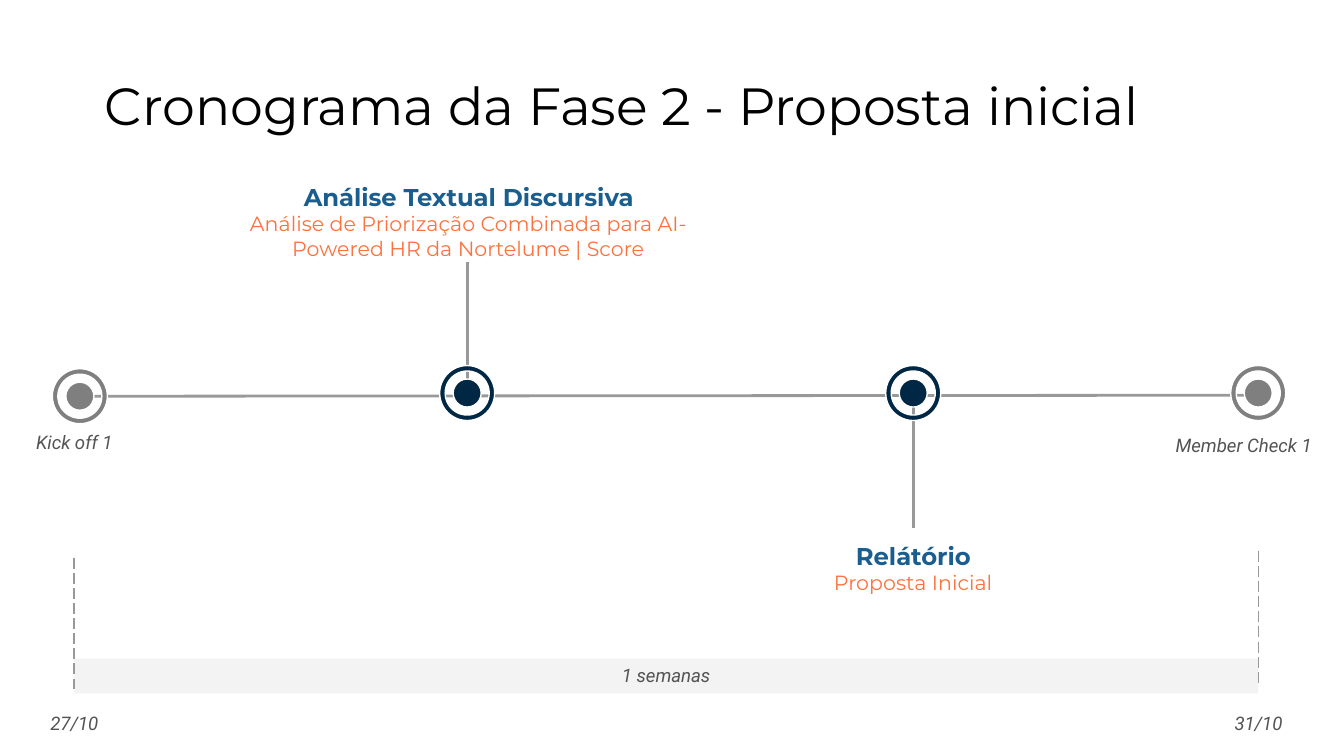
"""Build the phase 2 timeline slide."""
from dataclasses import dataclass
from typing import Optional

from lxml.etree import SubElement
from pptx import Presentation
from pptx.dml.color import RGBColor
from pptx.enum.dml import MSO_LINE
from pptx.enum.shapes import MSO_CONNECTOR, MSO_SHAPE
from pptx.enum.text import MSO_ANCHOR, MSO_AUTO_SIZE, PP_ALIGN
from pptx.oxml.ns import qn
from pptx.util import Cm, Pt


@dataclass(frozen=True)
class Style:
    font: str
    size: float
    color: str
    bold: bool = False
    italic: bool = False


@dataclass(frozen=True)
class Theme:
    title: Style = Style("Montserrat", 28, "000000")
    heading: Style = Style("Montserrat", 13, "1A5E8F", bold=True)
    detail: Style = Style("Montserrat", 11, "FC723F")
    note: Style = Style("Roboto", 10, "545454", italic=True)
    line: str = "999999"
    band: str = "F3F3F3"
    white: str = "FFFFFF"
    step: str = "002845"
    limit: str = "7F7F7F"


@dataclass(frozen=True)
class Box:
    x: float
    y: float
    w: float
    h: float

    def emu(self) -> tuple:
        return Cm(self.x), Cm(self.y), Cm(self.w), Cm(self.h)


@dataclass(frozen=True)
class Label:
    box: Box
    lines: tuple


@dataclass(frozen=True)
class Marker:
    x: float
    y: float
    color: str


@dataclass(frozen=True)
class Rule:
    x1: float
    y1: float
    x2: float
    y2: float
    width: float = 1.5
    dashed: bool = False


T = Theme()
OUTER, INNER = 1.04, 0.53
START, END = 1.4, 23.78
STEP_1, STEP_2 = 8.83, 17.26
AXIS = 7.47

RULES = (
    Rule(1.3, 7.49, 24, AXIS),
    Rule(STEP_1, 4.95, STEP_1, AXIS),
    Rule(STEP_2, AXIS, STEP_2, 9.98),
    Rule(START, 10.54, START, 13.03, 0.75, True),
    Rule(END, 10.41, END, 12.93, 0.75, True),
)
MARKERS = (
    Marker(1.51, 7.49, T.limit),
    Marker(STEP_1, 7.43, T.step),
    Marker(STEP_2, 7.43, T.step),
    Marker(END, 7.43, T.limit),
)
LABELS = (
    Label(Box(3.84, 3.38, 10.03, 1.6), (
        ("Análise Textual Discursiva", T.heading),
        ("Análise de Priorização Combinada para AI-Powered HR da Nortelume | Score", T.detail))),
    Label(Box(14.43, 9.86, 5.66, 1.75), (
        ("Relátório", T.heading), ("Proposta Inicial", T.detail))),
    Label(Box(0.15, 7.72, 2.51, 1.27), (("Kick off 1", T.note),)),
    Label(Box(21.84, 7.77, 3.33, 1.27), (("Member Check 1", T.note),)),
    Label(Box(START, 12.12, END - START, 1.27), (("1 semanas", T.note),)),
    Label(Box(0.15, 13.03, 2.51, 1.27), (("27/10", T.note),)),
    Label(Box(22.53, 13.03, 2.51, 1.27), (("31/10", T.note),)),
)


def rgb(color: str) -> RGBColor:
    return RGBColor.from_string(color)


def write(sp, lines: tuple, align: PP_ALIGN, anchor: MSO_ANCHOR) -> None:
    tf = sp.text_frame
    tf.word_wrap = True
    tf.auto_size = MSO_AUTO_SIZE.NONE
    tf.vertical_anchor = anchor
    tf.margin_left = tf.margin_right = tf.margin_top = tf.margin_bottom = Cm(0.25)
    for i, (text, style) in enumerate(lines):
        p = tf.add_paragraph() if i else tf.paragraphs[0]
        p.alignment = align
        p.space_before = Pt(0)
        r = p.add_run()
        r.text = text
        r.font.name = style.font
        r.font.size = Pt(style.size)
        r.font.bold = style.bold
        r.font.italic = style.italic
        r.font.color.rgb = rgb(style.color)


def add_shape(shapes, kind: MSO_SHAPE, box: Box, fill: str, line: Optional[str] = None):
    sp = shapes.add_shape(kind, *box.emu())
    sp.shadow.inherit = False
    sp.fill.solid()
    sp.fill.fore_color.rgb = rgb(fill)
    if line:
        sp.line.color.rgb = rgb(line)
        sp.line.width = Pt(0.75)
    else:
        sp.line.fill.background()
    return sp


def add_rule(s, rule: Rule) -> None:
    cn = s.shapes.add_connector(
        MSO_CONNECTOR.STRAIGHT, Cm(rule.x1), Cm(rule.y1), Cm(rule.x2), Cm(rule.y2))
    cn.line.color.rgb = rgb(T.line)
    cn.line.width = Pt(rule.width)
    if rule.dashed:
        cn.line.dash_style = MSO_LINE.LONG_DASH
    SubElement(cn._element.spPr, qn("a:effectLst"))


def add_marker(s, m: Marker) -> None:
    shapes = s.shapes.add_group_shape().shapes
    for kind, d in ((MSO_SHAPE.OVAL, INNER), (MSO_SHAPE.DONUT, OUTER)):
        sp = add_shape(shapes, kind, Box(m.x - d / 2, m.y - d / 2, d, d), m.color, T.white)
    sp.adjustments[0] = 0.1


def add_label(s, label: Label) -> None:
    sp = s.shapes.add_textbox(*label.box.emu())
    write(sp, label.lines, PP_ALIGN.CENTER, MSO_ANCHOR.MIDDLE)


def main() -> None:
    prs = Presentation()
    prs.slide_width, prs.slide_height = Cm(25.4), Cm(14.29)
    s = prs.slides.add_slide(prs.slide_layouts[5])
    title = s.shapes.title
    title.left, title.top, title.width, title.height = Box(1.73, 1.14, 23.01, 1.6).emu()
    write(title, (("Cronograma da Fase 2 - Proposta inicial", T.title),),
          PP_ALIGN.LEFT, MSO_ANCHOR.TOP)
    add_shape(s.shapes, MSO_SHAPE.RECTANGLE, Box(START, 12.45, END - START, 0.66), T.band)
    for rule in RULES:
        add_rule(s, rule)
    for marker in MARKERS:
        add_marker(s, marker)
    for label in LABELS:
        add_label(s, label)
    prs.save("out.pptx")


if __name__ == "__main__":
    main()
